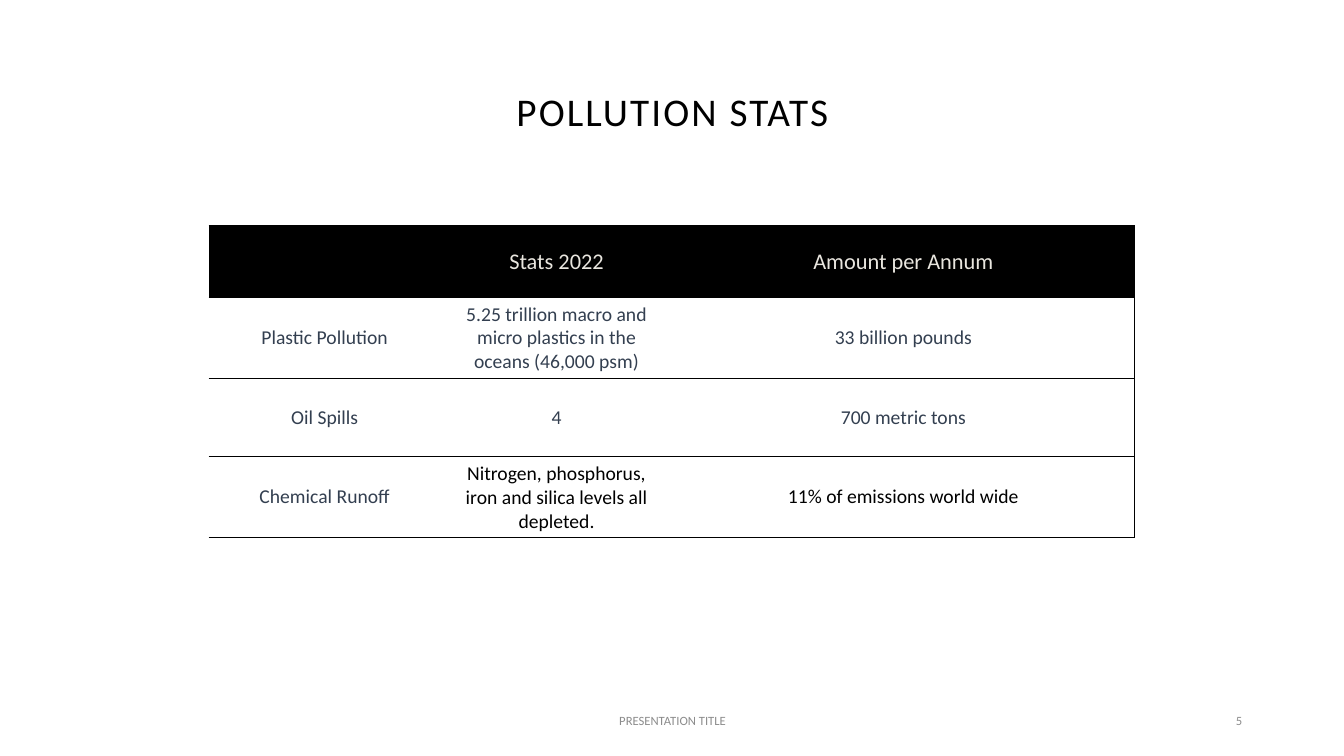
from dataclasses import dataclass

from lxml import etree
from pptx import Presentation
from pptx.dml.color import RGBColor
from pptx.enum.text import MSO_ANCHOR, PP_ALIGN
from pptx.oxml.ns import qn
from pptx.util import Inches, Pt

MIDDLE = MSO_ANCHOR.MIDDLE
CENTER = PP_ALIGN.CENTER
RIGHT = PP_ALIGN.RIGHT


@dataclass(frozen=True)
class Theme:
    """Colours, type sizes and line widths of the deck."""

    font: str = "Calibri"
    black: str = "000000"
    slate: str = "333F50"
    cream: str = "E9E6DF"
    gray: str = "8C8C8C"
    title_size: float = 28
    header_size: float = 16
    body_size: float = 14
    footer_size: float = 9
    title_spacing: float = 1.5
    rule_width: float = 0.5


class SlideBuilder:
    """Adds styled elements to the current slide."""

    def __init__(self, page, theme):
        self.page = page
        self.theme = theme

    def add_span(self, frame, text, size, color, align=CENTER):
        """Put one styled run in a text frame and return its paragraph and run."""
        para = frame.paragraphs[0]
        para.alignment = align
        span = para.add_run()
        span.text = text
        span.font.name = self.theme.font
        span.font.size = Pt(size)
        span.font.color.rgb = RGBColor.from_string(color)
        return para, span

    def text(self, place, text, size, color, align=CENTER):
        """Add a wrapped, vertically centred text box."""
        box = self.page.shapes.add_textbox(*map(Inches, place))
        box.text_frame.word_wrap = True
        box.text_frame.vertical_anchor = MIDDLE
        return self.add_span(box.text_frame, text, size, color, align)

    def title(self, place, text):
        """Add the letter-spaced slide title."""
        para, span = self.text(place, text, self.theme.title_size, self.theme.black)
        para.line_spacing = 0.9
        span.font._element.set("spc", str(int(self.theme.title_spacing * 100)))

    def borders(self, cell, visible_sides):
        """Draw the visible sides of a cell and clear the others."""
        properties = cell._tc.get_or_add_tcPr()
        for side in "LRTB":
            line = etree.SubElement(properties, qn(f"a:ln{side}"))
            if side in visible_sides:
                line.set("w", str(int(Pt(self.theme.rule_width))))
                fill = etree.SubElement(line, qn("a:solidFill"))
                etree.SubElement(fill, qn("a:srgbClr"), val=self.theme.black)
            else:
                etree.SubElement(line, qn("a:noFill"))

    def table(self, place, widths, heights, rows, black_cells):
        """Add a table with a black header and ruled rows."""
        theme = self.theme
        frame = self.page.shapes.add_table(len(rows), len(widths), *map(Inches, place))
        table = frame.table
        table.first_row = table.horz_banding = False
        for column, width in zip(table.columns, widths):
            column.width = Inches(width)
        for row, height in zip(table.rows, heights):
            row.height = Inches(height)
        for r, texts in enumerate(rows):
            for c, text in enumerate(texts):
                cell = table.cell(r, c)
                cell.vertical_anchor = MIDDLE
                self.borders(cell, "RTB" if c == len(widths) - 1 else "TB")
                if r == 0:
                    cell.fill.solid()
                    cell.fill.fore_color.rgb = RGBColor.from_string(theme.black)
                    size, color = theme.header_size, theme.cream
                else:
                    cell.fill.background()
                    size = theme.body_size
                    color = theme.black if (r, c) in black_cells else theme.slate
                if text:
                    self.add_span(cell.text_frame, text, size, color)


def main():
    """Build the pollution statistics slide."""
    deck = Presentation()
    deck.slide_width, deck.slide_height = Inches(13.33), Inches(7.5)
    theme = Theme()
    builder = SlideBuilder(deck.slides.add_slide(deck.slide_layouts[6]), theme)

    builder.title((0.92, 0.4, 11.5, 1.45), "POLLUTION STATS")
    builder.table(
        (2.07, 2.24, 9.18, 3.05),
        widths=(2.3, 2.3, 4.58),
        heights=(0.71, 0.78, 0.78, 0.78),
        rows=(
            ("", "Stats 2022", "Amount per Annum"),
            (
                "Plastic Pollution",
                "5.25 trillion macro and micro plastics in the oceans (46,000 psm)",
                "33 billion pounds",
            ),
            ("Oil Spills", "4", "700 metric tons"),
            (
                "Chemical Runoff",
                "Nitrogen, phosphorus, iron and silica levels all depleted.",
                "11% of emissions world wide",
            ),
        ),
        black_cells={(3, 1), (3, 2)},
    )
    builder.text((4.42, 6.95, 4.5, 0.4), "PRESENTATION TITLE", theme.footer_size, theme.gray)
    builder.text((9.42, 6.95, 3, 0.4), "5", theme.footer_size, theme.gray, RIGHT)
    deck.save("out.pptx")


if __name__ == "__main__":
    main()
